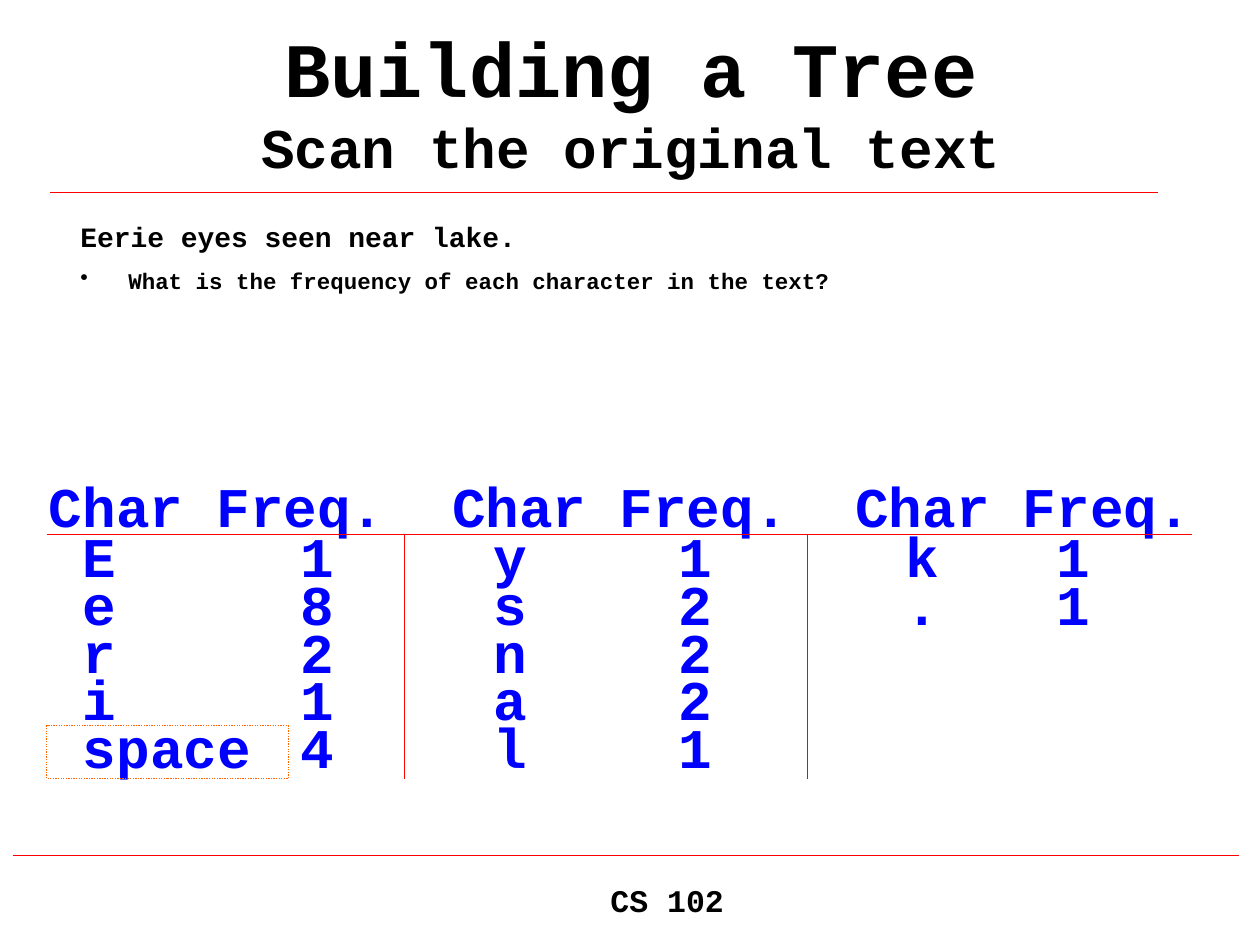
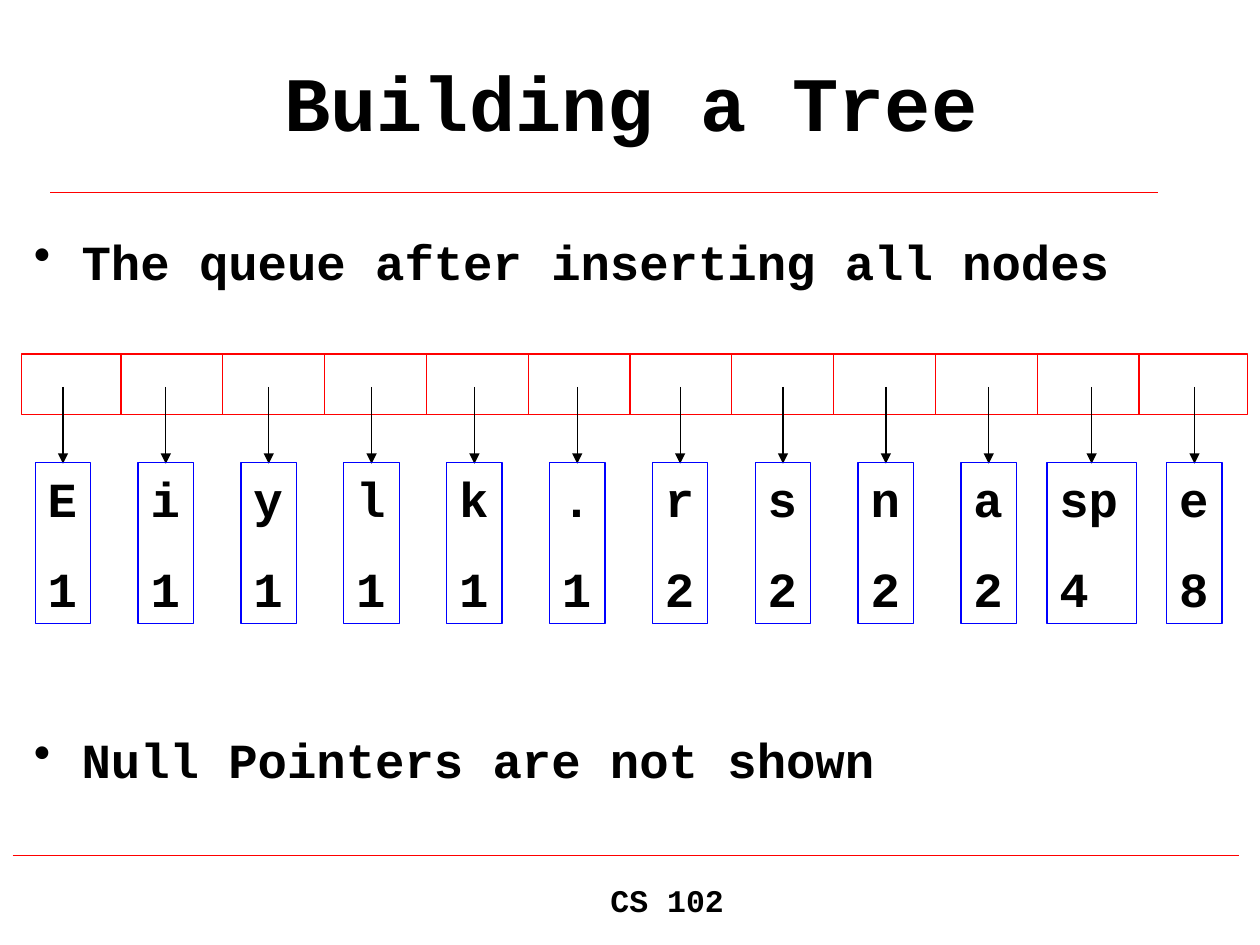
import pptx
import pptx.util
import pptx.dml.color
import pptx.enum.shapes
import pptx.enum.text
import pptx.oxml.ns
import lxml.etree

Inches, Pt = pptx.util.Inches, pptx.util.Pt
RGB = pptx.dml.color.RGBColor.from_string
qn = pptx.oxml.ns.qn
PP = pptx.enum.text.PP_ALIGN
RECT = pptx.enum.shapes.MSO_SHAPE.RECTANGLE
STRAIGHT = pptx.enum.shapes.MSO_CONNECTOR.STRAIGHT

COLORS = {"text": "000000", "rule": "FF0000", "data": "0000FF",
          "mark": "FF6600", "paper": "FFFFFF"}
FONT = "Courier New"


def write(s, box, paragraphs, size, color="text", align=PP.LEFT, outline=None, wrap=True):
    """Add a text box, or an outlined rectangle, with (text, space before) paragraphs."""
    at = [Inches(v) for v in box]
    if outline:
        sp = s.shapes.add_shape(RECT, *at)
        sp.shadow.inherit = False
        sp.fill.background()
        sp.line.color.rgb = RGB(COLORS[outline])
        sp.line.width = Pt(0.75)
    else:
        sp = s.shapes.add_textbox(*at)
    tf = sp.text_frame
    tf.word_wrap = wrap
    tf.vertical_anchor = pptx.enum.text.MSO_ANCHOR.TOP
    for i, (text, before) in enumerate(paragraphs):
        p = tf.add_paragraph() if i else tf.paragraphs[0]
        p.text = text
        p.alignment = align
        p.space_before = Pt(before)
        for r in p.runs:
            r.font.name, r.font.size, r.font.bold = FONT, Pt(size), True
            r.font.color.rgb = RGB(COLORS[color])
    return sp


def draw_line(s, x1, y1, x2, y2, color="rule", arrow=False):
    c = s.shapes.add_connector(STRAIGHT, *[Inches(v) for v in (x1, y1, x2, y2)])
    c.line.color.rgb = RGB(COLORS[color])
    c.line.width = Pt(0.75)
    if arrow:
        lxml.etree.SubElement(c.line._get_or_add_ln(), qn("a:tailEnd"), type="triangle")
    lxml.etree.SubElement(c._element.spPr, qn("a:effectLst"))


prs = pptx.Presentation()
prs.slide_width, prs.slide_height = Inches(10), Inches(7.5)

# Shared frame: rules, footer and title
slides, titles = [], []
for title in ("Building a Tree\vScan the original text", "Building a Tree"):
    s = prs.slides.add_slide(prs.slide_layouts[6])
    draw_line(s, 0.4, 1.53, 9.19, 1.53)
    draw_line(s, 0.1, 6.79, 9.83, 6.79)
    write(s, (2.68, 6.94, 5.23, 0.5), [("CS 102", 0)], 18, align=PP.CENTER)
    sp = write(s, (0.76, 0.17, 8.5, 1.25), [(title, 0)], 44, align=PP.CENTER)
    sp.text_frame.vertical_anchor = pptx.enum.text.MSO_ANCHOR.MIDDLE
    slides.append(s)
    titles.append(sp)
scan, queue = slides
titles[0].text_frame.paragraphs[0].runs[1].font.size = Pt(32)

# Slide 1: question and frequency columns
question = write(scan, (0.54, 1.69, 9.19, 0.75),
                 [("Eerie eyes seen near lake.", 10),
                  ("What is the frequency of each character in the text?", 8)], 16)
question.text_frame.paragraphs[1].runs[0].font.size = Pt(12.8)

rows = ["Char\tFreq.\tChar\tFreq.\tChar\tFreq.",
        "\tE\t1\ty\t1\tk\t1",
        "\te\t8\ts\t2\t.\t1",
        "\tr\t2\tn\t2",
        "\ti\t1\ta\t2",
        "\tspace\t4\tl\t1"]
header_stops = [1.33, 3.2, 4.53, 6.4, 7.73]
row_stops = [0.27, 2, 3.53, 5, 6.8, 8]
table = write(scan, (0.29, 3.84, 9.65, 2.37), [(row, 8) for row in rows], 32, "data")
for i, p in enumerate(table.text_frame.paragraphs):
    p.line_spacing = 0.5 if i else 0.7
    tabs = lxml.etree.SubElement(p._p.get_or_add_pPr(), qn("a:tabLst"))
    for stop in row_stops if i else header_stops:
        lxml.etree.SubElement(tabs, qn("a:tab"), pos=str(Inches(stop)), algn="l")

draw_line(scan, 0.37, 4.24, 9.46, 4.24)
for x in (3.21, 6.41):
    draw_line(scan, x, 4.24, x, 6.18)
space_frame = write(scan, (0.37, 5.76, 1.92, 0.42), [], 32, outline="mark")
space_frame.line.dash_style = pptx.enum.dml.MSO_LINE.ROUND_DOT

# Slide 2: priority queue with one node under each slot
notes = write(queue, (0.17, 1.79, 9.83, 4.5),
              [("The queue after inserting all nodes", 7),
               ("Null Pointers are not shown", 251)], 28)

for p in (question.text_frame.paragraphs[1], *notes.text_frame.paragraphs):
    pPr = p._p.get_or_add_pPr()
    pPr.set("marL", str(Inches(0.38)))
    pPr.set("indent", str(Inches(-0.38)))
    lxml.etree.SubElement(pPr, qn("a:buChar"), char="•")

slots = write(queue, (0.17, 2.81, 9.73, 0.48), [], 28, outline="rule")
slots.fill.solid()
slots.fill.fore_color.rgb = RGB(COLORS["paper"])
nodes = [("E", 1), ("i", 1), ("y", 1), ("l", 1), ("k", 1), (".", 1),
         ("r", 2), ("s", 2), ("n", 2), ("a", 2), ("sp", 4), ("e", 8)]
divider_step = (9.04 - 0.96) / (len(nodes) - 2)
node_step = (9.48 - 0.5) / (len(nodes) - 1)
for i in range(len(nodes) - 1):
    x = 0.96 + i * divider_step
    draw_line(queue, x, 2.81, x, 3.29)
for i, (char, freq) in enumerate(nodes):
    x = 0.5 + i * node_step
    width = 0.44 if len(char) == 1 else 0.71
    draw_line(queue, x, 3.07, x, 3.68, "text", arrow=True)
    write(queue, (x - width / 2, 3.67, width, 1.28),
          [(char, 17.5), (str(freq), 17.5)], 28, outline="data", wrap=False)

prs.save("out.pptx")
